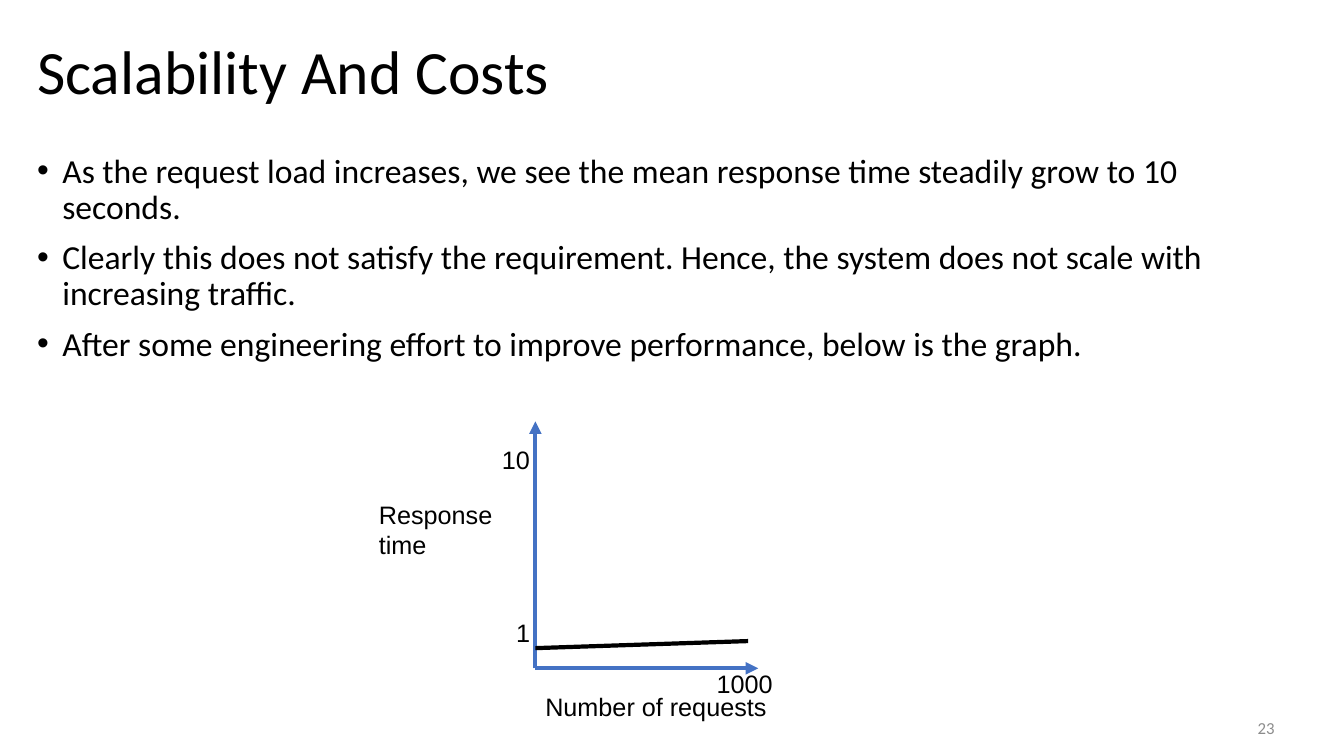
import pptx
import pptx.util
import pptx.dml.color
import pptx.enum.shapes
import pptx.enum.text
import pptx.oxml.ns
from lxml import etree

Inches, Pt = pptx.util.Inches, pptx.util.Pt
RGBColor = pptx.dml.color.RGBColor
PP_ALIGN = pptx.enum.text.PP_ALIGN
MSO_ANCHOR = pptx.enum.text.MSO_ANCHOR
qn = pptx.oxml.ns.qn

BLACK = RGBColor(0x00, 0x00, 0x00)
GREY = RGBColor(0x8C, 0x8C, 0x8C)
BLUE = RGBColor(0x44, 0x72, 0xC4)

TITLE = dict(name="Calibri", size=Pt(44))
BODY = dict(name="Calibri", size=Pt(24))
NUMBER = dict(name="Calibri", size=Pt(12))
LABEL = dict(name="Arial", size=Pt(18))

BULLETS = [
    "As the request load increases, we see the mean response time steadily grow to 10 seconds.",
    "Clearly this does not satisfy the requirement. Hence, the system does not scale with "
    "increasing traffic.",
    "After some engineering effort to improve performance, below is the graph.",
]


def add_text(s, box, lines, font, color=BLACK, wrap=True, anchor=MSO_ANCHOR.TOP, **para):
    """Add a text box with one paragraph per line; para holds paragraph formats."""
    sp = s.shapes.add_textbox(*map(Inches, box))
    tf = sp.text_frame
    tf.word_wrap = wrap
    tf.vertical_anchor = anchor
    if not wrap:
        tf.auto_size = pptx.enum.text.MSO_AUTO_SIZE.SHAPE_TO_FIT_TEXT
    for i, line in enumerate(lines):
        p = tf.paragraphs[0] if i == 0 else tf.add_paragraph()
        for key, value in para.items():
            setattr(p, key, value)
        r = p.add_run()
        r.text = line
        for key, value in font.items():
            setattr(r.font, key, value)
        r.font.color.rgb = color
    return tf


def add_line(s, start, end, color, arrow=False):
    c = s.shapes.add_connector(pptx.enum.shapes.MSO_CONNECTOR.STRAIGHT,
                               *map(Inches, start + end))
    c.line.color.rgb = color
    c.line.width = Pt(3)
    if arrow:
        etree.SubElement(c.line._get_or_add_ln(), qn("a:tailEnd"), type="triangle")
    etree.SubElement(c._element.spPr, qn("a:effectLst"))


def add_title(s, box):
    add_text(s, box, ["Scalability And Costs"], TITLE,
             anchor=MSO_ANCHOR.MIDDLE, line_spacing=0.9)


def add_bullets(s, box):
    tf = add_text(s, box, BULLETS, BODY, line_spacing=0.9, space_before=Pt(10))
    for p in tf.paragraphs:
        pPr = p._p.get_or_add_pPr()
        pPr.set("marL", str(Inches(0.25)))
        pPr.set("indent", str(-Inches(0.25)))
        etree.SubElement(pPr, qn("a:buFont"), typeface="Arial")
        etree.SubElement(pPr, qn("a:buChar"), char="•")


def add_graph(s, box):
    """Draw the response time graph; the box is the area between the axes."""
    x, y, w, h = box
    base = y + h

    # Axes
    add_line(s, (x, base), (x + w, base), BLUE, arrow=True)
    add_line(s, (x, base), (x, y), BLUE, arrow=True)

    # Axis titles and values: offset from the origin, size, lines
    labels = [
        (0, 0.18, 2.48, 0.46, ["Number of requests"]),
        (-1.65, -1.73, 1.37, 0.8, ["Response", "time"]),
        (-0.29, -0.55, 0.36, 0.46, ["1"]),
        (-0.43, -2.27, 0.5, 0.46, ["10"]),
        (1.7, -0.05, 0.76, 0.4, ["1000"]),
    ]
    for dx, dy, lw, lh, lines in labels:
        add_text(s, (x + dx, base + dy, lw, lh), lines, LABEL, wrap=False)

    # Response time curve
    add_line(s, (x, base - 0.2), (x + 2.11, base - 0.27), BLACK)


def add_slide_number(s, box):
    add_text(s, box, ["23"], NUMBER, GREY,
             anchor=MSO_ANCHOR.MIDDLE, alignment=PP_ALIGN.RIGHT)


def main():
    prs = pptx.Presentation()
    prs.slide_width, prs.slide_height = Inches(13.33), Inches(7.5)
    s = prs.slides.add_slide(prs.slide_layouts[6])
    add_slide_number(s, (9.41, 7.02, 3.33, 0.4))
    add_title(s, (0.27, 0.23, 12.76, 1.01))
    add_bullets(s, (0.27, 1.48, 12.7, 5.33))
    add_graph(s, (5.31, 4.18, 2.21, 2.45))
    prs.save("out.pptx")


if __name__ == "__main__":
    main()
